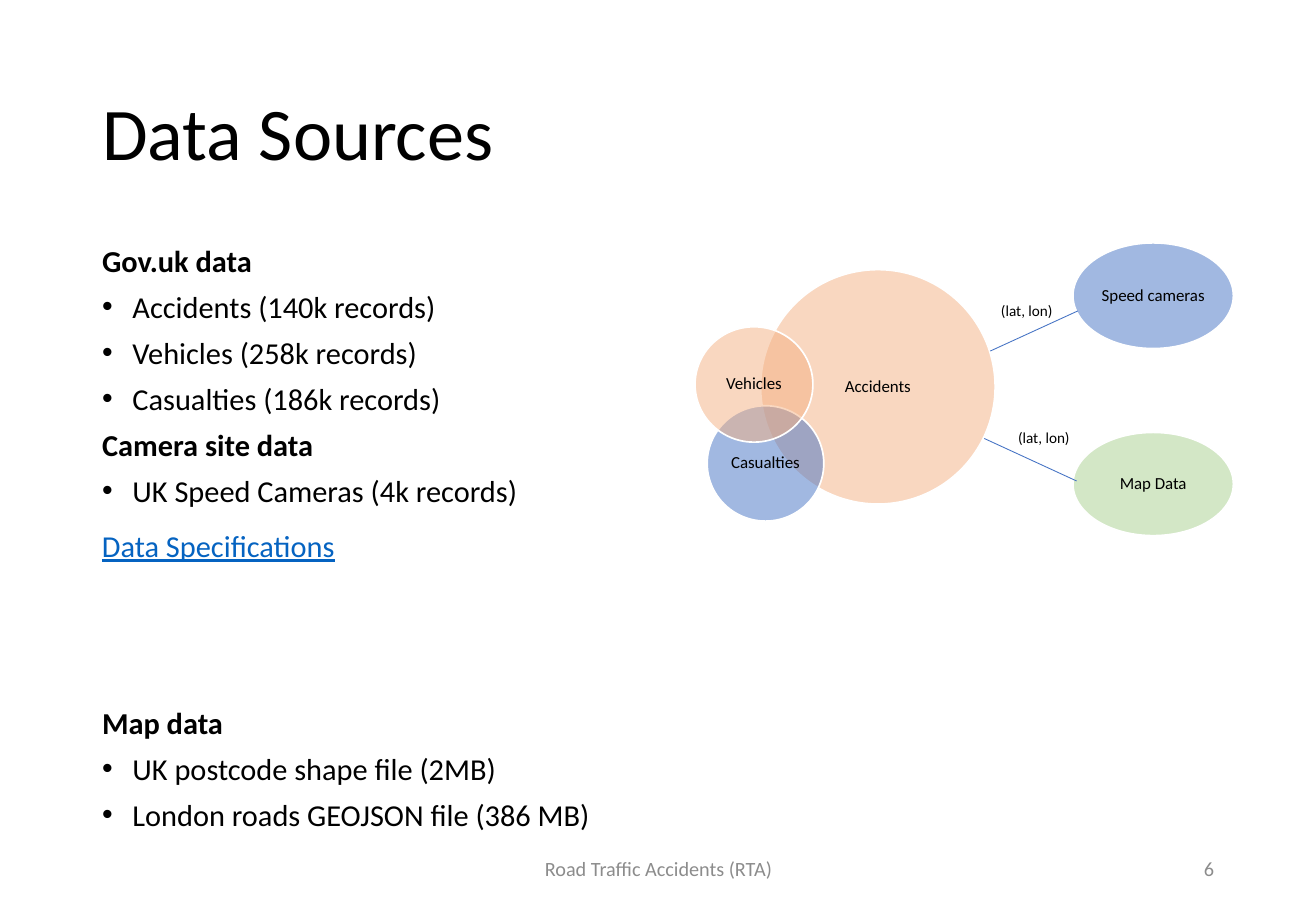
"""Build the Data Sources slide with its list and linked data diagram."""
from dataclasses import dataclass
from typing import NamedTuple

from lxml.etree import SubElement
from pptx import Presentation
from pptx.dml.color import RGBColor as RGB
from pptx.enum.shapes import MSO_CONNECTOR as CONN, MSO_SHAPE as SHAPE
from pptx.enum.text import MSO_ANCHOR as ANCHOR, MSO_AUTO_SIZE as FIT, PP_ALIGN as ALIGN
from pptx.oxml.ns import qn
from pptx.util import Inches, Pt


@dataclass(frozen=True)
class Theme:
    font: str = "Calibri"
    text: str = "000000"
    link: str = "0563C1"
    muted: str = "8C8C8C"
    white: str = "FFFFFF"
    orange: str = "F4B183"
    blue: str = "4472C4"
    green: str = "A9D18E"
    title: int = 44
    body: int = 18
    footer: int = 12
    node: int = 10
    label: int = 9


T = Theme()


class Box(NamedTuple):
    x: float
    y: float
    w: float
    h: float


class Item(NamedTuple):
    text: str
    heading: bool = False
    before: float = 10


class Node(NamedTuple):
    text: str
    box: Box
    color: str


class Link(NamedTuple):
    start: tuple[float, float]
    end: tuple[float, float]
    label: Box


class Note(NamedTuple):
    text: str
    box: Box
    size: int
    color: str
    align: ALIGN = ALIGN.LEFT
    anchor: ANCHOR = ANCHOR.TOP
    underline: bool = False


ITEMS = [
    Item("Gov.uk data", True, 0),
    Item("Accidents (140k records)"),
    Item("Vehicles (258k records)"),
    Item("Casualties (186k records)"),
    Item("Camera site data", True),
    Item("UK Speed Cameras (4k records)"),
    Item("Map data", True, 120),
    Item("UK postcode shape file (2MB)"),
    Item("London roads GEOJSON file (386 MB)"),
]
NODES = [
    Node("Accidents", Box(6.26, 2.22, 1.93, 1.93), T.orange),
    Node("Speed cameras", Box(8.83, 2, 1.32, 0.87), T.blue),
    Node("Casualties", Box(5.82, 3.34, 0.96, 0.95), T.blue),
    Node("Vehicles", Box(5.72, 2.69, 0.97, 0.95), T.orange),
    Node("Map Data", Box(8.83, 3.56, 1.32, 0.85), T.green),
]
LINKS = [
    Link((8.15, 2.89), (8.87, 2.56), Box(8.1, 2.43, 0.7, 0.25)),
    Link((8.1, 3.61), (8.86, 3.96), Box(8.24, 3.48, 0.7, 0.25)),
]
NOTES = [
    Note("Data Specifications", Box(0.74, 4.29, 4.72, 0.4), T.body, T.link, underline=True),
    Note("Road Traffic Accidents (RTA)", Box(3.59, 6.95, 3.66, 0.4), T.footer, T.muted,
         ALIGN.CENTER, ANCHOR.MIDDLE),
    Note("6", Box(7.65, 6.95, 2.44, 0.4), T.footer, T.muted, ALIGN.RIGHT, ANCHOR.MIDDLE),
]


def place(sp, box: Box) -> None:
    sp.left, sp.top, sp.width, sp.height = map(Inches, box)


def style(p, size: int, color: str = T.text, bold: bool = False) -> None:
    f = p.font
    f.name, f.size, f.bold = T.font, Pt(size), bold
    f.color.rgb = RGB.from_string(color)


def add_title(sp) -> None:
    place(sp, Box(0.74, 0.4, 9.34, 1.45))
    tf = sp.text_frame
    tf.text = "Data Sources"
    tf.auto_size, tf.vertical_anchor = FIT.NONE, ANCHOR.MIDDLE
    p = tf.paragraphs[0]
    p.alignment, p.line_spacing = ALIGN.LEFT, 0.9
    style(p, T.title)


def add_list(sp, items: list[Item]) -> None:
    place(sp, Box(0.74, 2, 4.6, 5.16))
    tf = sp.text_frame
    tf.text = "\n".join(item.text for item in items)
    tf.auto_size = FIT.NONE
    for p, item in zip(tf.paragraphs, items):
        p.line_spacing, p.space_before = 0.8, Pt(item.before)
        pr = p._p.get_or_add_pPr()
        indent = 0 if item.heading else Inches(0.25)
        pr.set("marL", str(indent))
        pr.set("indent", str(-indent))
        if item.heading:
            SubElement(pr, qn("a:buNone"))
        else:
            SubElement(pr, qn("a:buFont"), typeface="Arial")
            SubElement(pr, qn("a:buChar"), char="•")
        style(p, T.body, bold=item.heading)


def add_node(shapes, node: Node) -> None:
    sp = shapes.add_shape(SHAPE.OVAL, *map(Inches, node.box))
    sp.shadow.inherit = False
    sp.fill.solid()
    sp.fill.fore_color.rgb = RGB.from_string(node.color)
    color = sp.element.spPr.find(f"{qn('a:solidFill')}/{qn('a:srgbClr')}")
    SubElement(color, qn("a:alpha"), val="50000")
    sp.line.color.rgb = RGB.from_string(T.white)
    sp.line.width = Pt(1)
    tf = sp.text_frame
    tf.text = node.text
    tf.word_wrap, tf.vertical_anchor = False, ANCHOR.MIDDLE
    tf.margin_left = tf.margin_right = tf.margin_top = tf.margin_bottom = Inches(0.04)
    p = tf.paragraphs[0]
    p.alignment, p.line_spacing = ALIGN.CENTER, 0.9
    style(p, T.node)


def add_note(shapes, note: Note) -> None:
    tf = shapes.add_textbox(*map(Inches, note.box)).text_frame
    tf.text = note.text
    tf.word_wrap, tf.vertical_anchor = True, note.anchor
    p = tf.paragraphs[0]
    p.alignment = note.align
    style(p, note.size, note.color)
    p.font.underline = note.underline


def add_link(shapes, link: Link) -> None:
    line = shapes.add_connector(CONN.STRAIGHT, *map(Inches, link.start + link.end))
    line.line.color.rgb = RGB.from_string(T.blue)
    line.line.width = Pt(0.5)
    SubElement(line.element.spPr, qn("a:effectLst"))
    add_note(shapes, Note("(lat, lon)", link.label, T.label, T.text, ALIGN.CENTER))


def main() -> None:
    prs = Presentation()
    prs.slide_width, prs.slide_height = Inches(10.83), Inches(7.5)
    s = prs.slides.add_slide(prs.slide_layouts[1])
    add_title(s.shapes.title)
    add_list(s.placeholders[1], ITEMS)
    for node in NODES:
        add_node(s.shapes, node)
    for link in LINKS:
        add_link(s.shapes, link)
    for note in NOTES:
        add_note(s.shapes, note)
    prs.save("out.pptx")


if __name__ == "__main__":
    main()
